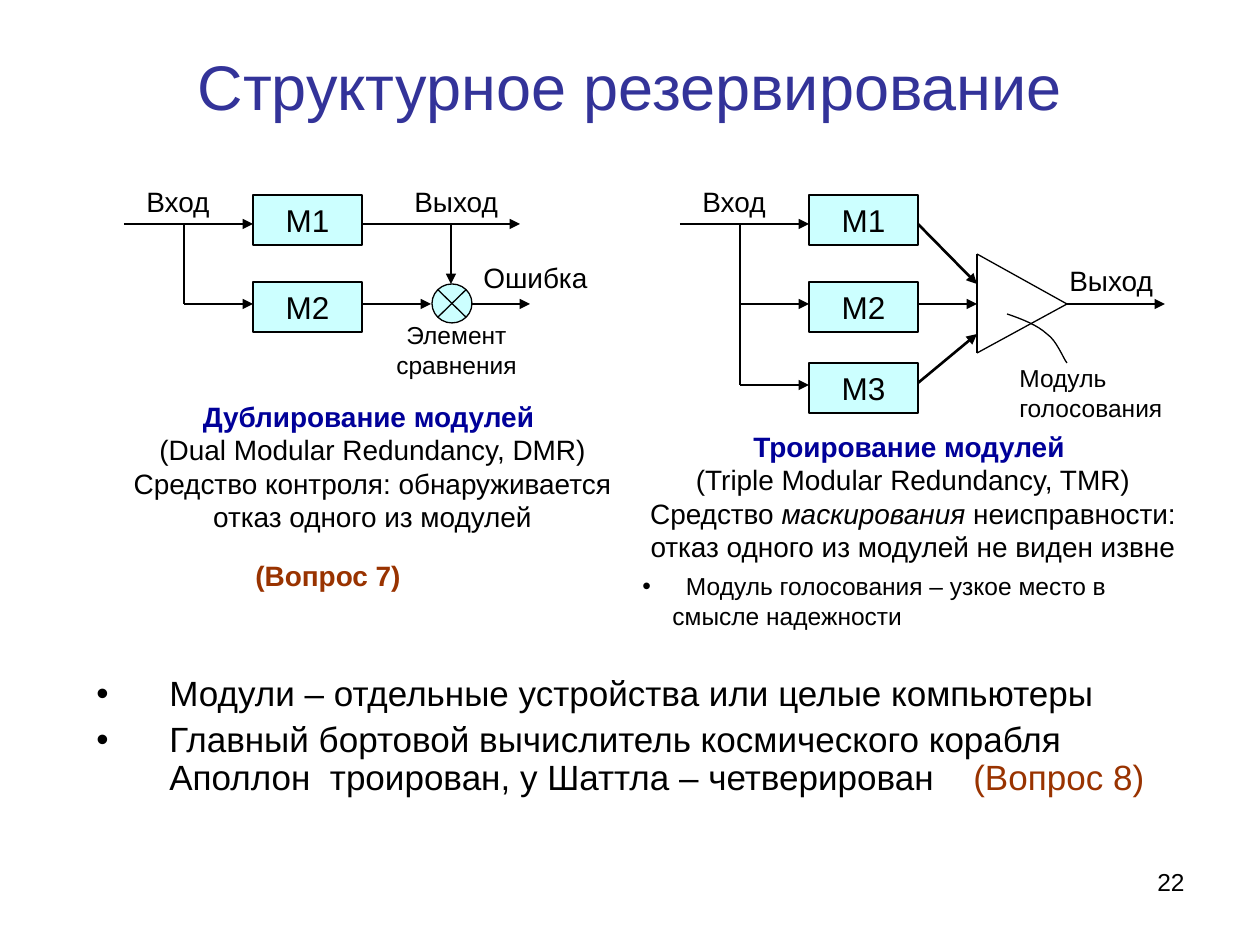
"""Build the slide on modular redundancy."""
from itertools import pairwise

from lxml.etree import SubElement
from pptx import Presentation
from pptx.dml.color import RGBColor
from pptx.enum.shapes import MSO_CONNECTOR, MSO_SHAPE
from pptx.enum.text import MSO_ANCHOR, PP_ALIGN
from pptx.oxml.ns import qn
from pptx.util import Pt

SCALE = 914400 / 126
BLACK, NAVY, RUST, AQUA = "000000", "000099", "993300", "CCFFFF"
LEFT, MID, RIGHT = PP_ALIGN.LEFT, PP_ALIGN.CENTER, PP_ALIGN.RIGHT
ROWS = [(195, 224), (282, 304), (363, 385)]


def px(size):
    """Turn pixels into EMU."""
    return round(size * SCALE)


def color(code):
    """Turn a hex string into a colour."""
    return RGBColor.from_string(code)


def bullet(para, hang, tab=None):
    """Give a paragraph a hanging bullet and, if asked, a tab stop."""
    props = para._p.get_or_add_pPr()
    props.set("marL", str(px(hang)))
    props.set("indent", str(-px(hang)))
    SubElement(props, qn("a:buFont"), typeface="Arial")
    SubElement(props, qn("a:buChar"), char="•")
    if tab:
        stops = SubElement(props, qn("a:tabLst"))
        SubElement(stops, qn("a:tab"), pos=str(px(tab)), algn="l")


def write(para, text, size=16, ink=BLACK, bold=False, slant=False, align=None):
    """Add a run of text in the given format."""
    run = para.add_run()
    run.text = text
    font = run.font
    font.name, font.size, font.bold, font.italic = "Arial", Pt(size), bold, slant
    font.color.rgb = color(ink)
    if align is not None:
        para.alignment = align


def frame(slide, x, y, w, h, anchor=MSO_ANCHOR.TOP):
    """Add an empty wrapping text box and return its text frame."""
    body = slide.shapes.add_textbox(px(x), px(y), px(w), px(h)).text_frame
    body.word_wrap = True
    body.vertical_anchor = anchor
    return body


def label(slide, text, x, y, w, h=47, **form):
    """Add a text box with one paragraph."""
    write(frame(slide, x, y, w, h).paragraphs[0], text, **form)


def line(slide, start, end, width=1.5, arrow=True):
    """Draw a straight line, by default with an arrowhead."""
    ends = [px(n) for n in (*start, *end)]
    link = slide.shapes.add_connector(MSO_CONNECTOR.STRAIGHT, *ends)
    link.line.color.rgb = color(BLACK)
    link.line.width = Pt(width)
    if arrow:
        SubElement(link.line._get_or_add_ln(), qn("a:tailEnd"), type="triangle")
    SubElement(link._element.spPr, qn("a:effectLst"))


def shape(slide, kind, x, y, w, h):
    """Add a filled and outlined shape."""
    form = slide.shapes.add_shape(kind, px(x), px(y), px(w), px(h))
    form.shadow.inherit = False
    form.fill.solid()
    form.fill.fore_color.rgb = color(AQUA)
    form.line.color.rgb = color(BLACK)
    form.line.width = Pt(0.75)
    return form


def bank(slide, x, count):
    """Draw parallel modules fed from one input."""
    rows = ROWS[:count]
    label(slide, "Вход", x + 10, 178, 118)
    line(slide, (x, 224), (x + 129, 224))
    for (_, high), (_, low) in pairwise(rows):
        line(slide, (x + 60, high), (x + 60, low), arrow=False)
        line(slide, (x + 60, low), (x + 129, low))
    for num, (top, _) in enumerate(rows, 1):
        box = shape(slide, MSO_SHAPE.RECTANGLE, x + 129, top, 109, 50)
        box.text_frame.vertical_anchor = MSO_ANCHOR.MIDDLE
        write(box.text_frame.paragraphs[0], f"М{num}", size=18, align=MID)


def curve(slide, *parts):
    """Draw a thin smooth line through cubic parts."""
    spots = []
    for part in parts:
        for step in range(1, 9):
            t = step / 8
            mix = ((1 - t) ** 3, 3 * t * (1 - t) ** 2, 3 * t * t * (1 - t), t ** 3)
            spots.append([px(sum(m * p[i] for m, p in zip(mix, part))) for i in (0, 1)])
    first = parts[0][0]
    pen = slide.shapes.build_freeform(px(first[0]), px(first[1]))
    pen.add_line_segments(spots, close=False)
    form = pen.convert_to_shape()
    form.shadow.inherit = False
    form.fill.background()
    form.line.color.rgb = color(BLACK)
    form.line.width = Pt(0.75)


def double(slide):
    """Draw the scheme with two modules and a comparator."""
    bank(slide, 124, 2)
    shape(slide, MSO_SHAPE.FLOWCHART_SUMMING_JUNCTION, 432, 284, 40, 39)
    line(slide, (362, 304), (431, 304))
    line(slide, (471, 304), (530, 304))
    line(slide, (362, 224), (520, 224))
    line(slide, (451, 224), (451, 284))
    label(slide, "Выход", 402, 178, 118)
    label(slide, "Ошибка", 471, 254, 139)
    label(slide, "Элемент сравнения", 382, 314, 149, 72, size=14, align=MID)
    body = frame(slide, 105, 393, 535, 147)
    write(body.paragraphs[0], "Дублирование модулей ", ink=NAVY, bold=True, align=MID)
    write(body.add_paragraph(), "(Dual Modular Redundancy, DMR) Средство контроля: "
          "обнаруживается отказ одного из модулей", align=MID)
    label(slide, "(Вопрос 7)", 243, 552, 208, ink=RUST, bold=True)


def triple(slide):
    """Draw the scheme with three modules and a voter."""
    bank(slide, 680, 3)
    peaks = [(977, 254), (1067, 304), (977, 353)]
    for start, end in pairwise(peaks + peaks[:1]):
        line(slide, start, end, width=0.75, arrow=False)
    for start, end in ((224, 284), (304, 304), (383, 334)):
        line(slide, (918, start), (977, end))
    line(slide, (1067, 304), (1165, 304))
    label(slide, "Выход", 1057, 257, 118)
    label(slide, "Модуль голосования", 1007, 357, 188, 72, size=14)
    curve(slide, [(1007, 314), (1022, 319), (1037, 325), (1047, 334)],
          [(1047, 334), (1057, 341), (1063, 358), (1067, 363)])
    body = frame(slide, 630, 423, 566, 214)
    write(body.paragraphs[0], "Троирование модулей ", ink=NAVY, bold=True, align=MID)
    para = body.add_paragraph()
    write(para, "(Triple Modular Redundancy, TMR) Средство ", align=MID)
    write(para, "маскирования", slant=True)
    write(para, " неисправности: отказ одного из модулей не виден извне")
    para = body.add_paragraph()
    para.space_before = Pt(4.4)
    bullet(para, 30)
    write(para, "  Модуль голосования – узкое место в смысле надежности",
          size=14, align=LEFT)


def notes(slide):
    """Write the bullet points below the schemes."""
    body = frame(slide, 84, 670, 1131, 169)
    texts = ["Модули – отдельные устройства или целые компьютеры",
             "Главный бортовой вычислитель космического корабля "
             "Аполлон  троирован, у Шаттла – четверирован\t"]
    for num, text in enumerate(texts):
        para = body.add_paragraph() if num else body.paragraphs[0]
        para.line_spacing = 0.9
        para.space_before = Pt(5)
        bullet(para, 73, tab=877)
        write(para, text, size=20)
    write(para, "(Вопрос 8)", size=20, ink=RUST)


def main():
    """Build and save the slide."""
    deck = Presentation()
    deck.slide_width, deck.slide_height = px(1260), px(945)
    slide = deck.slides.add_slide(deck.slide_layouts[6])
    head = frame(slide, 0, 6, 1260, 158, MSO_ANCHOR.MIDDLE)
    write(head.paragraphs[0], "Структурное резервирование", size=36,
          ink="333399", align=MID)
    double(slide)
    triple(slide)
    notes(slide)
    label(slide, "22", 903, 861, 294, 66, size=14, align=RIGHT)
    deck.save("out.pptx")


if __name__ == "__main__":
    main()
